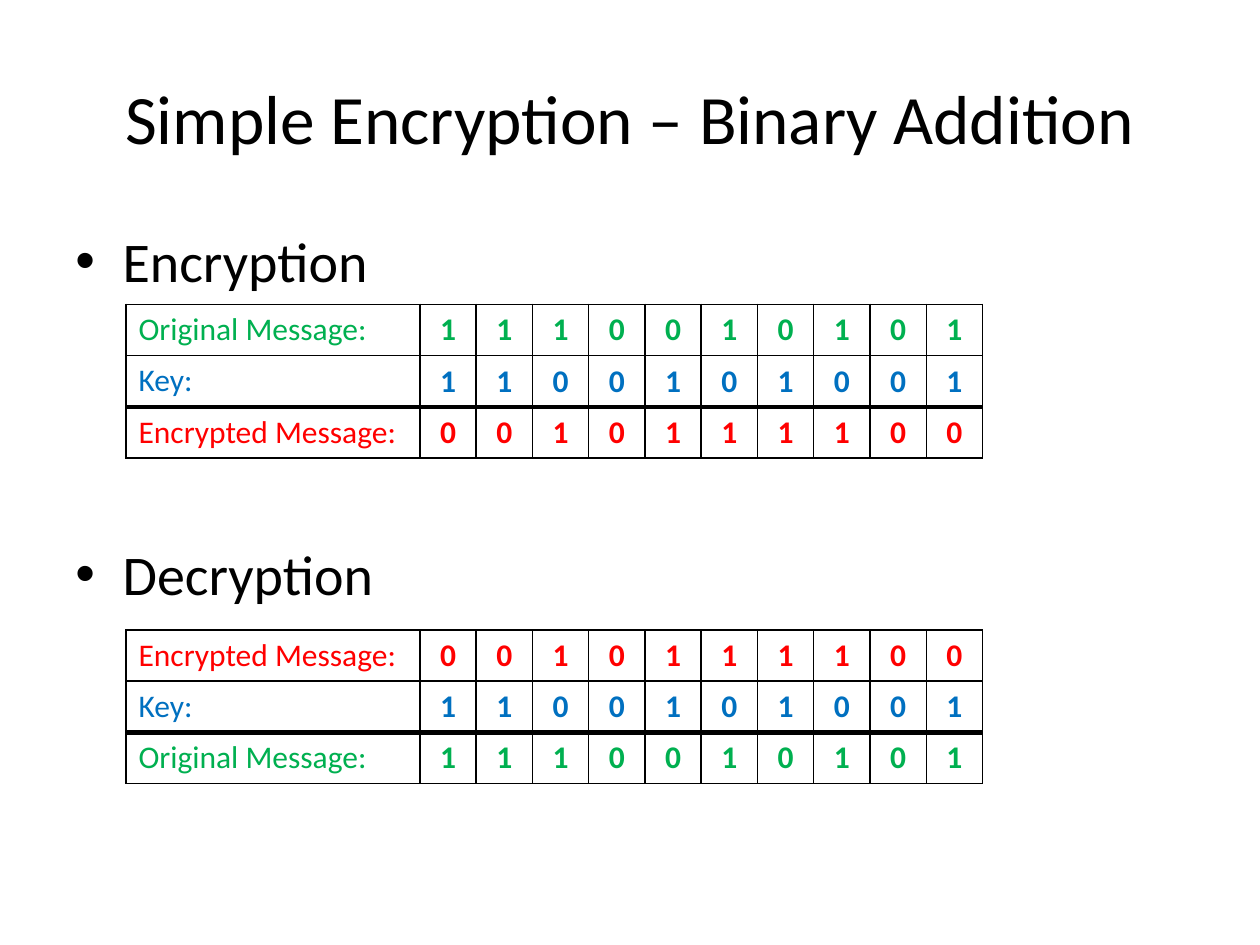
from dataclasses import dataclass

from lxml import etree
from pptx import Presentation, util as u
from pptx.dml.color import RGBColor
from pptx.enum import text as t
from pptx.oxml.ns import qn

Pt = u.Pt
FONT = "Calibri"
COLORS = {"ink": "000000", "original": "00B050", "key": "0070C0", "encrypted": "FF0000"}

LEFT_MARGIN, CONTENT_WIDTH = 36, 648
TABLE_LEFT, LABEL_WIDTH, BIT_WIDTH, ROW_HEIGHT = 72, 168, 32.16, 29.28
THIN, THICK = 1, 3
BULLET_INDENT = 27
HEADING_GAP = 140.3


@dataclass(frozen=True)
class BitRow:
    label: str
    bits: str
    color: str


def add_bits(first: str, second: str) -> str:
    """Add two bit strings digit by digit, without carry."""
    return "".join(str(int(a) ^ int(b)) for a, b in zip(first, second))


def write(paragraph, content: str, *, size: float, color: str = "ink",
          bold: bool = False, align=t.PP_ALIGN.LEFT) -> None:
    paragraph.alignment = align
    run = paragraph.add_run()
    run.text = content
    run.font.name = FONT
    run.font.size = Pt(size)
    run.font.bold = bold
    run.font.color.rgb = RGBColor.from_string(COLORS[color])


def add_text_frame(slide, top: float, height: float, anchor):
    box = slide.shapes.add_textbox(Pt(LEFT_MARGIN), Pt(top), Pt(CONTENT_WIDTH), Pt(height))
    frame = box.text_frame
    frame.word_wrap = True
    frame.vertical_anchor = anchor
    return frame


def add_bullet(paragraph) -> None:
    properties = paragraph._p.get_or_add_pPr()
    properties.set("marL", str(Pt(BULLET_INDENT)))
    properties.set("indent", str(-Pt(BULLET_INDENT)))
    etree.SubElement(properties, qn("a:buFont")).set("typeface", "Arial")
    etree.SubElement(properties, qn("a:buChar")).set("char", "•")


def set_borders(cell, top: float, bottom: float) -> None:
    properties = cell._tc.get_or_add_tcPr()
    for side, width in (("L", THIN), ("R", THIN), ("T", top), ("B", bottom)):
        line = etree.SubElement(properties, qn(f"a:ln{side}"), w=str(Pt(width)))
        fill = etree.SubElement(line, qn("a:solidFill"))
        etree.SubElement(fill, qn("a:srgbClr")).set("val", COLORS["ink"])


def add_sum_table(slide, top: float, rows: list[BitRow]) -> None:
    """Draw the rows with a thick rule above the last one, the result."""
    bit_count = len(rows[0].bits)
    table = slide.shapes.add_table(
        len(rows), bit_count + 1, Pt(TABLE_LEFT), Pt(top),
        Pt(LABEL_WIDTH + bit_count * BIT_WIDTH), Pt(len(rows) * ROW_HEIGHT)).table
    table.first_row = table.horz_banding = False
    for index, column in enumerate(table.columns):
        column.width = Pt(BIT_WIDTH if index else LABEL_WIDTH)

    result = len(rows) - 1
    for row_index, row in enumerate(rows):
        table.rows[row_index].height = Pt(ROW_HEIGHT)
        for column_index, content in enumerate([row.label, *row.bits]):
            cell = table.cell(row_index, column_index)
            set_borders(cell, THICK if row_index == result else THIN,
                        THICK if row_index == result - 1 else THIN)
            cell.fill.background()
            is_bit = column_index > 0
            if is_bit:
                cell.vertical_anchor = t.MSO_ANCHOR.MIDDLE
            write(cell.text_frame.paragraphs[0], content, size=18, color=row.color,
                  bold=is_bit, align=t.PP_ALIGN.CENTER if is_bit else t.PP_ALIGN.LEFT)


def main() -> None:
    prs = Presentation()
    prs.slide_width, prs.slide_height = Pt(720), Pt(540)
    slide = prs.slides.add_slide(prs.slide_layouts[6])

    title = add_text_frame(slide, 21.6, 90, t.MSO_ANCHOR.MIDDLE)
    write(title.paragraphs[0], "Simple Encryption – Binary Addition", size=39.6,
          align=t.PP_ALIGN.CENTER)

    headings = add_text_frame(slide, 126, 356.4, t.MSO_ANCHOR.TOP)
    encryption, decryption = headings.paragraphs[0], headings.add_paragraph()
    decryption.space_before = Pt(HEADING_GAP)
    for heading, content in ((encryption, "Encryption"), (decryption, "Decryption")):
        write(heading, content, size=32)
        add_bullet(heading)

    original = BitRow("Original Message:", "1110010101", "original")
    key = BitRow("Key:", "1100101001", "key")
    encrypted = BitRow("Encrypted Message:", add_bits(original.bits, key.bits), "encrypted")
    add_sum_table(slide, 174, [original, key, encrypted])
    add_sum_table(slide, 360, [encrypted, key, original])

    prs.save("out.pptx")


if __name__ == "__main__":
    main()
